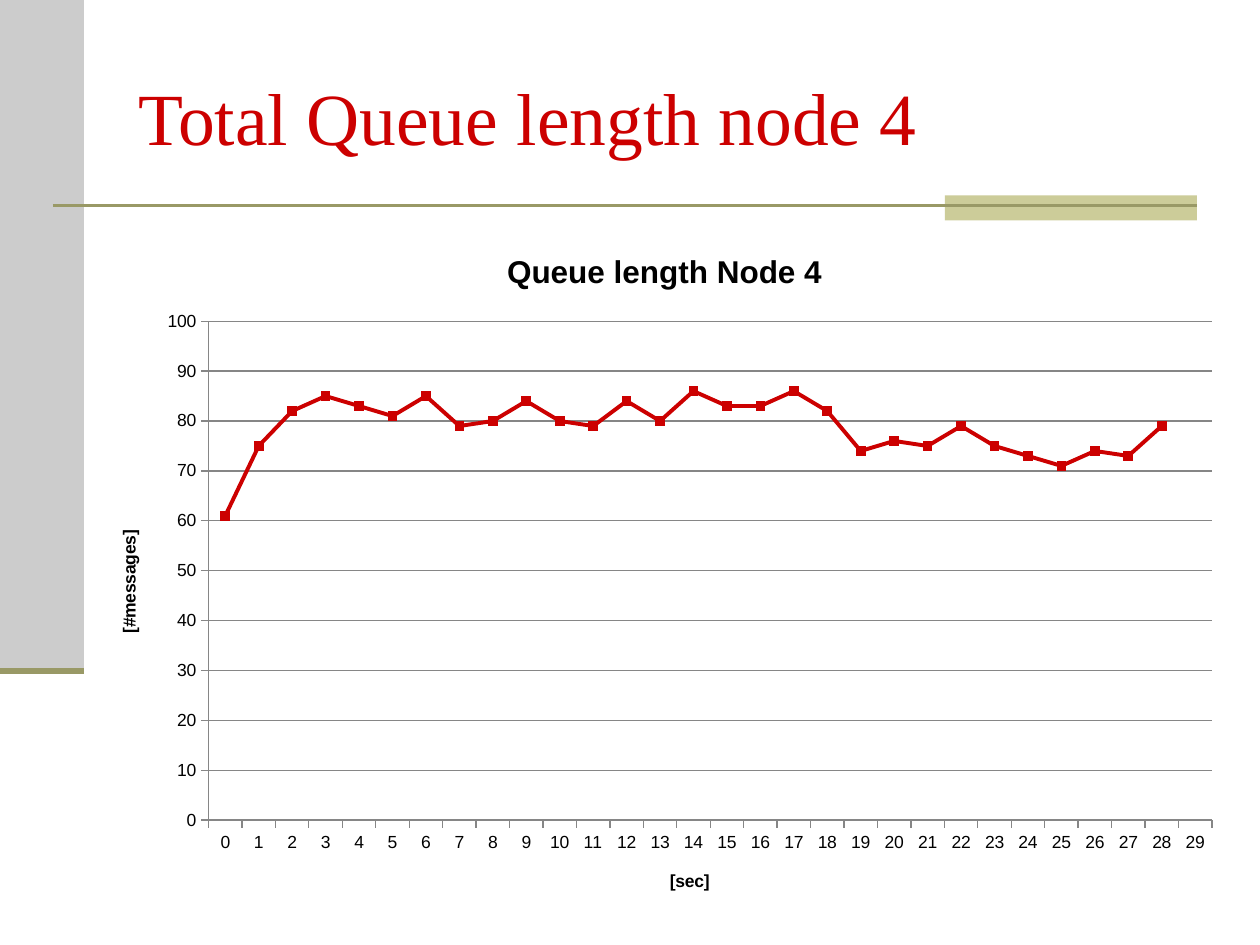
from lxml import etree
from pptx import Presentation, util as u
from pptx.chart.data import CategoryChartData
from pptx.dml.color import RGBColor
from pptx.enum import chart as ch, shapes, text
from pptx.oxml import parse_xml
from pptx.oxml.ns import nsdecls, qn

COLORS = {"side": "CCCCCC", "tab": "CCCC99", "rule": "999966",
          "accent": "CC0000", "text": "000000", "grid": "868686"}
QUEUE = [61, 75, 82, 85, 83, 81, 85, 79, 80, 84, 80, 79, 84, 80, 86,
         83, 83, 86, 82, 74, 76, 75, 79, 75, 73, 71, 74, 73, 79, None]


def rgb(name):
    return RGBColor.from_string(COLORS[name])


def inches(*values):
    return [u.Inches(v) for v in values]


def style_line(line, color, width):
    line.color.rgb = rgb(color)
    line.width = u.Pt(width)


def style_font(font, size, name="Arial", color="text", bold=False):
    font.name, font.size, font.bold = name, u.Pt(size), bold
    font.color.rgb = rgb(color)


def add_block(s, box, color):
    sp = s.shapes.add_shape(shapes.MSO_SHAPE.RECTANGLE, *inches(*box))
    sp.shadow.inherit = False
    sp.fill.solid()
    sp.fill.fore_color.rgb = rgb(color)
    sp.line.fill.background()


def add_rule(s, left, right, y, width):
    line = s.shapes.add_connector(shapes.MSO_CONNECTOR.STRAIGHT, *inches(left, y, right, y))
    style_line(line.line, "rule", width)
    etree.SubElement(line._element.spPr, qn("a:effectLst"))


def add_frame(s, w, h):
    side_w, side_h = w / 15, h * 0.71
    right = w * 0.95
    add_block(s, (0, 0, side_w, side_h), "side")
    add_block(s, (w * 0.75, 1.55, w * 0.2, 0.2), "tab")
    add_rule(s, w * 0.042, right, 1.63, 1.5)
    add_rule(s, 0, side_w, side_h, 3.5)


def add_title(s, box, title):
    tf = s.shapes.add_textbox(*inches(*box)).text_frame
    tf.word_wrap = True
    tf.vertical_anchor = text.MSO_ANCHOR.MIDDLE
    p = tf.paragraphs[0]
    p.text = title
    p.alignment = text.PP_ALIGN.LEFT
    style_font(p.runs[0].font, 42, "Times New Roman", "accent")


def set_heading(owner, heading, size):
    tf = owner.text_frame
    tf.text = heading
    style_font(tf.paragraphs[0].runs[0].font, size, bold=True)


def set_plot_area(chart, x, y, w, h):
    area = chart._chartSpace.chart.plotArea
    for old in area.findall(qn("c:layout")):
        area.remove(old)
    modes = '<c:layoutTarget val="inner"/><c:xMode val="edge"/><c:yMode val="edge"/>'
    sizes = "".join(f'<c:{k} val="{v}"/>' for k, v in zip("xywh", (x, y, w, h)))
    area.insert(0, parse_xml(f'<c:layout {nsdecls("c")}><c:manualLayout>{modes}{sizes}'
                             '</c:manualLayout></c:layout>'))


def add_queue_chart(s, box, heading):
    data = CategoryChartData()
    data.categories = [str(i) for i in range(len(QUEUE))]
    data.add_series(heading, QUEUE)
    chart = s.shapes.add_chart(ch.XL_CHART_TYPE.LINE_MARKERS, *inches(*box), data).chart
    style_font(chart.font, 10)
    chart.has_legend = False
    chart.has_title = True
    set_heading(chart.chart_title, heading, 18)
    chart.chart_title.include_in_layout = False
    chart.plots[0].vary_by_categories = False

    for axis, label in ((chart.category_axis, "[sec]"), (chart.value_axis, "[#messages]")):
        axis.has_title = True
        set_heading(axis.axis_title, label, 10)
        axis.major_tick_mark = ch.XL_TICK_MARK.OUTSIDE
        style_line(axis.format.line, "grid", 0.75)
    values = chart.value_axis
    values.minimum_scale, values.maximum_scale, values.major_unit = 0, 100, 10
    values.has_major_gridlines = True
    style_line(values.major_gridlines.format.line, "grid", 0.75)

    series = chart.plots[0].series[0]
    series.smooth = False
    style_line(series.format.line, "accent", 2.25)
    marker = series.marker
    marker.style, marker.size = ch.XL_MARKER_STYLE.SQUARE, 5
    marker.format.fill.solid()
    marker.format.fill.fore_color.rgb = rgb("accent")
    style_line(marker.format.line, "accent", 0.75)
    set_plot_area(chart, 0.1, 0.14, 0.88, 0.72)


def build():
    prs = Presentation()
    w, h = 10, 7.5
    prs.slide_width, prs.slide_height = inches(w, h)
    s = prs.slides.add_slide(prs.slide_layouts[6])
    add_frame(s, w, h)
    add_title(s, (1, 0.3, 8.5, 1.25), "Total Queue length node 4")
    add_queue_chart(s, (0.75, 1.78, 9.05, 5.5), "Queue length Node 4")
    prs.save("out.pptx")


build()
